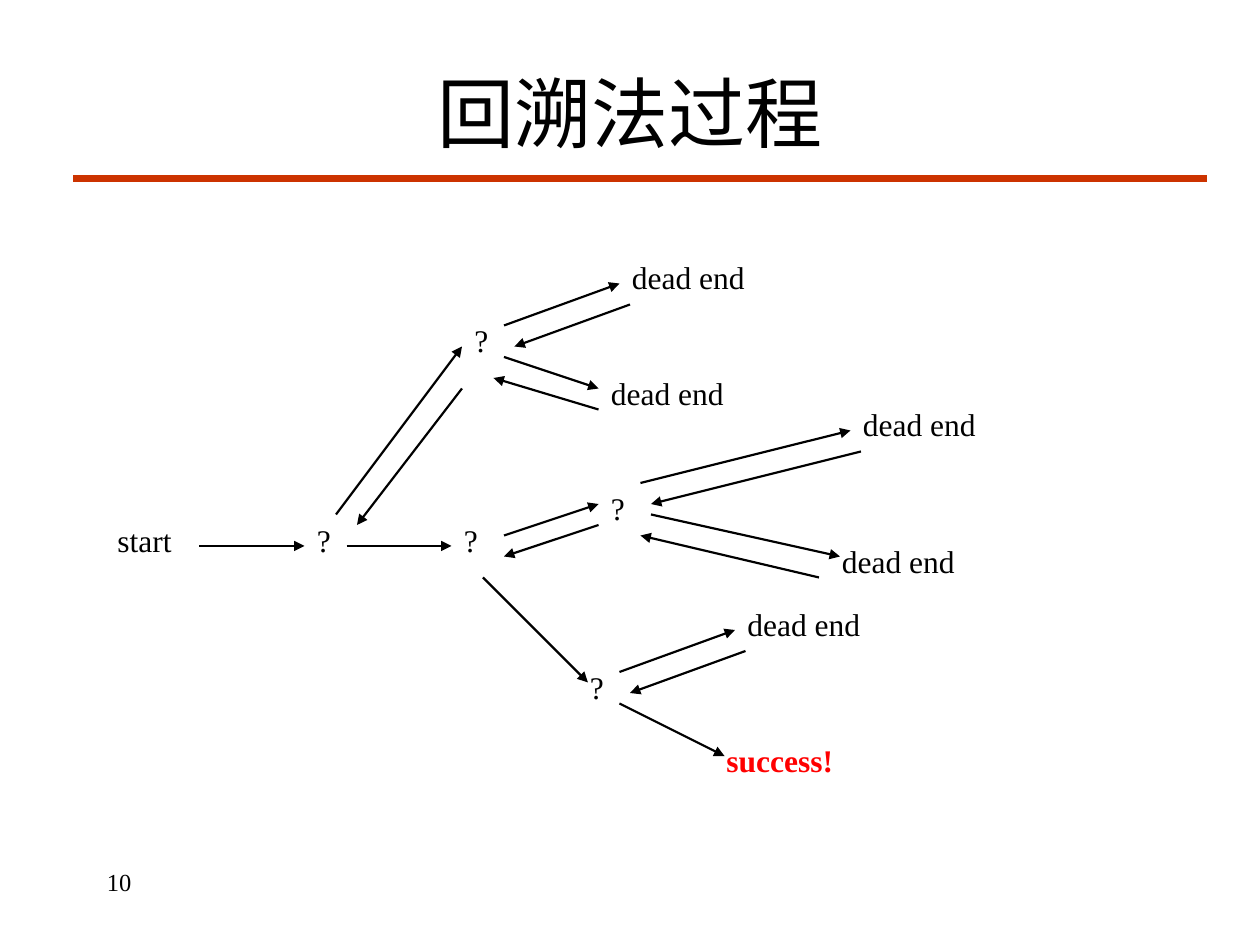
"""Build the slide that shows the search tree of the backtracking method."""
from dataclasses import dataclass

from lxml import etree
from pptx import Presentation
from pptx.dml.color import RGBColor
from pptx.enum.shapes import MSO_CONNECTOR
from pptx.enum.text import MSO_ANCHOR, PP_ALIGN
from pptx.oxml.ns import qn
from pptx.util import Emu, Pt

STRAIGHT = MSO_CONNECTOR.STRAIGHT
TOP, MIDDLE = MSO_ANCHOR.TOP, MSO_ANCHOR.MIDDLE
LEFT, CENTER = PP_ALIGN.LEFT, PP_ALIGN.CENTER
EMU_PER_PX = 9525
BLANK_LAYOUT = 6


@dataclass(frozen=True)
class Theme:
    """Colours, font, type sizes and line widths."""
    font: str = "Times New Roman"
    ink: str = "000000"
    rule: str = "CC3300"
    success: str = "FF0000"
    title_size: int = 44
    label_size: int = 18
    number_size: int = 14
    rule_width: float = 4.5
    arrow_width: float = 1.25


THEME = Theme()
LABEL_HEIGHT = 48
CHOICE_WIDTH = 48
OUTCOME_WIDTH = 168

CHOICES = [(232, 392), (352, 240), (344, 392), (456, 368), (440, 504)]
DEAD_ENDS = [(472, 192), (456, 280), (648, 304), (632, 408), (560, 456)]

FORWARD_STEPS = [
    ((152, 416), (232, 416)),
    ((264, 416), (344, 416)),
    ((256, 392), (352, 264)),
    ((384, 248), (472, 216)),
    ((384, 272), (456, 296)),
    ((384, 408), (456, 384)),
    ((488, 368), (648, 328)),
    ((496, 392), (640, 424)),
    ((368, 440), (448, 520)),
    ((472, 512), (560, 480)),
    ((472, 536), (552, 576)),
]
BACKTRACKS = [
    ((480, 232), (392, 264)),
    ((456, 312), (376, 288)),
    ((352, 296), (272, 400)),
    ((656, 344), (496, 384)),
    ((624, 440), (488, 408)),
    ((456, 400), (384, 424)),
    ((568, 496), (480, 528)),
]


def px(length):
    """Turn pixels into EMU."""
    return Emu(length * EMU_PER_PX)


def add_text(slide, text, left, top, width, height=LABEL_HEIGHT, *,
             size=THEME.label_size, color=THEME.ink, bold=False,
             align=LEFT, anchor=TOP):
    """Add a wrapped text box with one formatted run."""
    box = slide.shapes.add_textbox(px(left), px(top), px(width), px(height))
    frame = box.text_frame
    frame.word_wrap = True
    frame.vertical_anchor = anchor
    paragraph = frame.paragraphs[0]
    paragraph.alignment = align
    run = paragraph.add_run()
    run.text = text
    run.font.name = THEME.font
    run.font.size = Pt(size)
    run.font.bold = bold
    run.font.color.rgb = RGBColor.from_string(color)


def add_line(slide, start, end, color, width):
    """Add a straight connector without a shadow."""
    line = slide.shapes.add_connector(STRAIGHT, *map(px, start + end))
    line.line.color.rgb = RGBColor.from_string(color)
    line.line.width = Pt(width)
    etree.SubElement(line._element.spPr, qn("a:effectLst"))
    return line


def add_arrow(slide, start, end):
    """Add a line with a triangle at its end."""
    arrow = add_line(slide, start, end, THEME.ink, THEME.arrow_width)
    outline = arrow.line._get_or_add_ln()
    etree.SubElement(outline, qn("a:tailEnd"), type="triangle")


def add_frame(slide):
    """Add the title, the rule below it and the page number."""
    add_line(slide, (56, 136), (920, 136), THEME.rule, THEME.rule_width)
    add_text(slide, "10", 72, 656, 200, size=THEME.number_size)
    add_text(slide, "回溯法过程", 72, 25, 816, 120,
             size=THEME.title_size, align=CENTER, anchor=MIDDLE)


def add_search_tree(slide):
    """Add the labels of the search tree and the steps between them."""
    add_text(slide, "start", 80, 392, 80)
    for left, top in CHOICES:
        add_text(slide, "?", left, top, CHOICE_WIDTH)
    for left, top in DEAD_ENDS:
        add_text(slide, "dead end", left, top, OUTCOME_WIDTH)
    add_text(slide, "success!", 544, 560, OUTCOME_WIDTH,
             color=THEME.success, bold=True)
    for start, end in FORWARD_STEPS + BACKTRACKS:
        add_arrow(slide, start, end)


def main():
    """Build the slide and save it."""
    deck = Presentation()
    deck.slide_width, deck.slide_height = px(960), px(720)
    slide = deck.slides.add_slide(deck.slide_layouts[BLANK_LAYOUT])
    add_frame(slide)
    add_search_tree(slide)
    deck.save("out.pptx")


if __name__ == "__main__":
    main()
